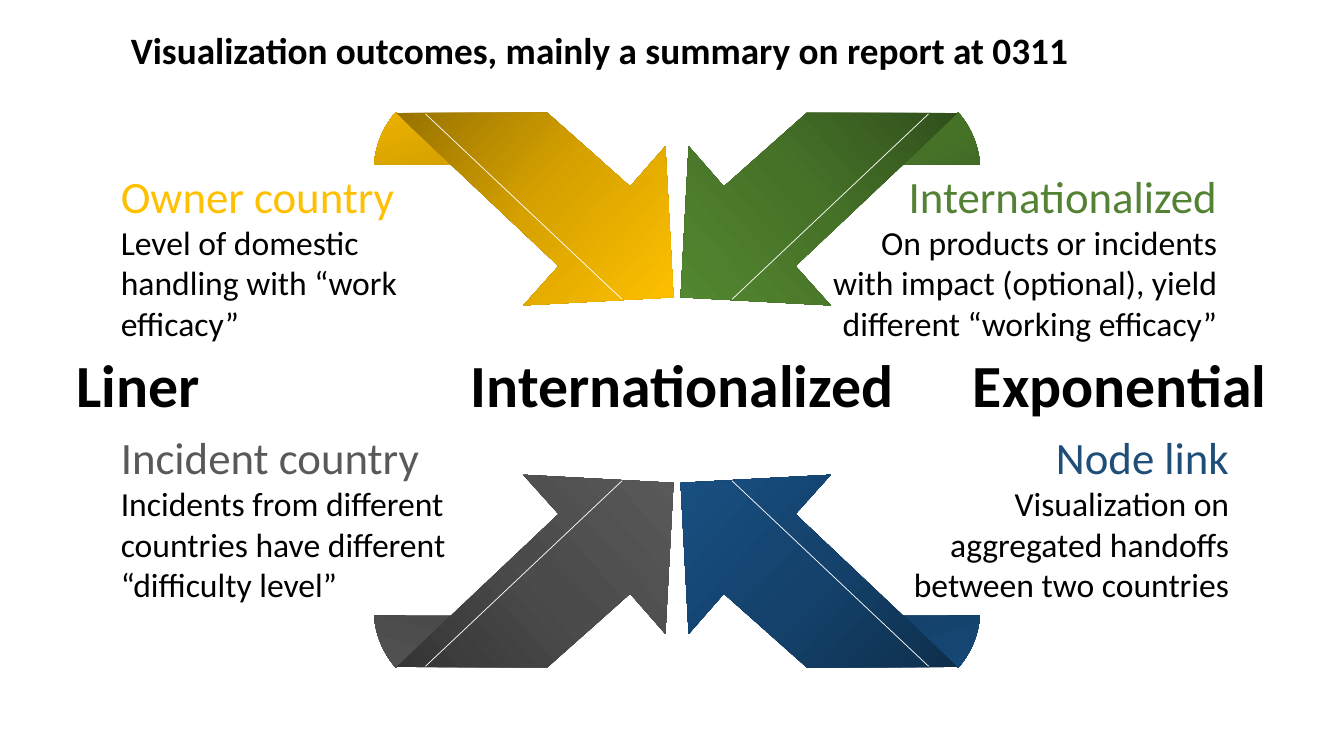
from copy import deepcopy

from lxml import etree
from pptx import Presentation
from pptx.dml.color import RGBColor
from pptx.enum.shapes import MSO_CONNECTOR, MSO_SHAPE
from pptx.enum.text import PP_ALIGN
from pptx.oxml.ns import qn
from pptx.util import Inches, Pt

LEFT, CENTER, RIGHT = PP_ALIGN.LEFT, PP_ALIGN.CENTER, PP_ALIGN.RIGHT
PIE = MSO_SHAPE.PIE
STRAIGHT = MSO_CONNECTOR.STRAIGHT

# Grid: 133.3 columns by 75 rows of a tenth of an inch
COLUMNS, ROWS = 133.3, 75
CENTER_COLUMN, CENTER_ROW = 67.15, 38.7

# Upper left arrow; the other three are its mirror images
ARROW = [(54.3, 11.2), (62.5, 18.5), (66, 14.5), (66.8, 29.5),
         (51.9, 30.3), (55.4, 26.4), (39.3, 11.2)]
CREASE = [(42.2, 11.3), (61.7, 29.7)]
TAIL_CENTER, TAIL_SIZE = (44.75, 16.3), (16.3, 15)
# Start and end of the tail's arc, in units of 5/3 degrees
TAIL_ANGLES = (143.91, 169.9)

# Mirrored across, mirrored down, arrow direction, tail direction, colours
ARROWS = [
    (True, True, 221.8, 315, ("0E2F4C", "14426C", "184F80")),
    (True, False, 138.2, 0, ("31501C", "467228", "538730")),
    (False, True, 318.2, 315, ("353535", "4B4B4B", "595959")),
    (False, False, 41.8, 315, ("977200", "D7A200", "FFC000")),
]

# Left, top, width, alignment, wrap, heading colour, heading, body paragraphs
NOTES = [
    (11, 16.2, 29.7, LEFT, False, "FFC000", "Owner country",
     ["Level of domestic", "handling with “work", "efficacy”"]),
    (81.2, 16.2, 40.5, RIGHT, True, "548235", "Internationalized",
     ["On products or incidents with impact (optional), "
      "yield different “working efficacy”"]),
    (11, 42.1, 34.6, LEFT, False, "595959", "Incident country",
     ["Incidents from different", "countries have different",
      "“difficulty level”"]),
    (89.6, 42.1, 33.3, RIGHT, True, "1F4E79", "Node link",
     ["Visualization on aggregated handoffs between two countries"]),
]
NOTE_HEIGHT = 18.5


def cells(count):
    return Inches(count / 10)


def color(hex_value):
    return RGBColor.from_string(hex_value)


def mirror(point, across, down):
    column, row = point
    return (2 * CENTER_COLUMN - column if across else column,
            2 * CENTER_ROW - row if down else row)


class SlideBuilder:
    font_name = "Calibri"
    text_color = "000000"

    def __init__(self, presentation):
        self.slide = presentation.slides.add_slide(presentation.slide_layouts[6])
        self.shapes = self.slide.shapes

    def paint(self, shape, colors, direction):
        """Fill with an even gradient; direction is clockwise degrees."""
        shape.shadow.inherit = False
        shape.line.fill.background()
        shape.fill.gradient()
        shape.fill.gradient_angle = (360 - direction) % 360
        stop_list = shape._element.spPr.find(".//" + qn("a:gsLst"))
        stop_list.append(deepcopy(stop_list[-1]))
        for index, (stop, value) in enumerate(zip(shape.fill.gradient_stops, colors)):
            stop.position = index / (len(colors) - 1)
            stop.color.rgb = color(value)

    def tail(self, across, down, direction, colors):
        column, row = mirror(TAIL_CENTER, across, down)
        width, height = TAIL_SIZE
        shape = self.shapes.add_shape(
            PIE, cells(column - width / 2), cells(row - height / 2),
            cells(width), cells(height))
        for index, angle in enumerate(TAIL_ANGLES):
            shape.adjustments[index] = angle
        shape.rotation = 300 if across == down else 60
        transform = shape._element.spPr.find(qn("a:xfrm"))
        for name, flipped in (("flipH", across), ("flipV", down)):
            if flipped:
                transform.set(name, "1")
        self.paint(shape, colors, direction)

    def arrow(self, across, down, direction, colors):
        start, *others = [tuple(cells(value) for value in mirror(point, across, down))
                          for point in ARROW]
        builder = self.shapes.build_freeform(*start)
        builder.add_line_segments(others, close=True)
        self.paint(builder.convert_to_shape(), colors, direction)

    def crease(self, across, down):
        ends = [cells(value) for point in CREASE
                for value in mirror(point, across, down)]
        line = self.shapes.add_connector(STRAIGHT, *ends)
        line.line.color.rgb = color("FFFFFF")
        line.line.width = Pt(0.5)
        etree.SubElement(line._element.spPr, qn("a:effectLst"))

    def text(self, left, top, width, height, lines, align=LEFT, wrap=True,
             inset=1, tabs=()):
        """Each line is (text, size, colour, bold)."""
        box = self.shapes.add_textbox(cells(left), cells(top), cells(width), cells(height))
        frame = box.text_frame
        frame.word_wrap = wrap
        frame.margin_left = cells(inset)
        for index, (content, size, hex_value, bold) in enumerate(lines):
            paragraph = frame.add_paragraph() if index else frame.paragraphs[0]
            paragraph.text = content
            paragraph.alignment = align
            if tabs:
                properties = paragraph._p.get_or_add_pPr()
                tab_list = etree.SubElement(properties, qn("a:tabLst"))
                for position in tabs:
                    etree.SubElement(tab_list, qn("a:tab"),
                                     pos=str(cells(position)), algn="l")
            paragraph.font.name = self.font_name
            paragraph.font.size = Pt(size)
            paragraph.font.bold = bold
            paragraph.font.color.rgb = color(hex_value)

    def note(self, left, top, width, align, wrap, heading_color, heading, body):
        lines = [(heading, 32, heading_color, False)]
        lines += [(content, 24, self.text_color, False) for content in body]
        self.text(left, top, width, NOTE_HEIGHT, lines, align, wrap)


def main():
    presentation = Presentation()
    presentation.slide_width = cells(COLUMNS)
    presentation.slide_height = cells(ROWS)
    builder = SlideBuilder(presentation)

    # Folded arrows: tails behind, then bodies, then crease lines
    for across, down, _, direction, colors in ARROWS:
        builder.tail(across, down, direction, colors)
    for across, down, direction, _, colors in ARROWS:
        builder.arrow(across, down, direction, colors)
    for across, down, *_ in ARROWS:
        builder.crease(across, down)

    # Notes in the four corners
    for note in NOTES:
        builder.note(*note)

    # Middle scale and title
    builder.text(4.7, 34, 124, 8.2,
                 [("Liner\tInternationalized\tExponential", 42.67,
                   builder.text_color, True)],
                 inset=2.9, tabs=(39.1, 88.9))
    builder.text(0, 2.2, 119.1, 5.5,
                 [("Visualization outcomes, mainly a summary on report at 0311",
                   26.67, builder.text_color, True)], CENTER)
    presentation.save("out.pptx")


if __name__ == "__main__":
    main()
